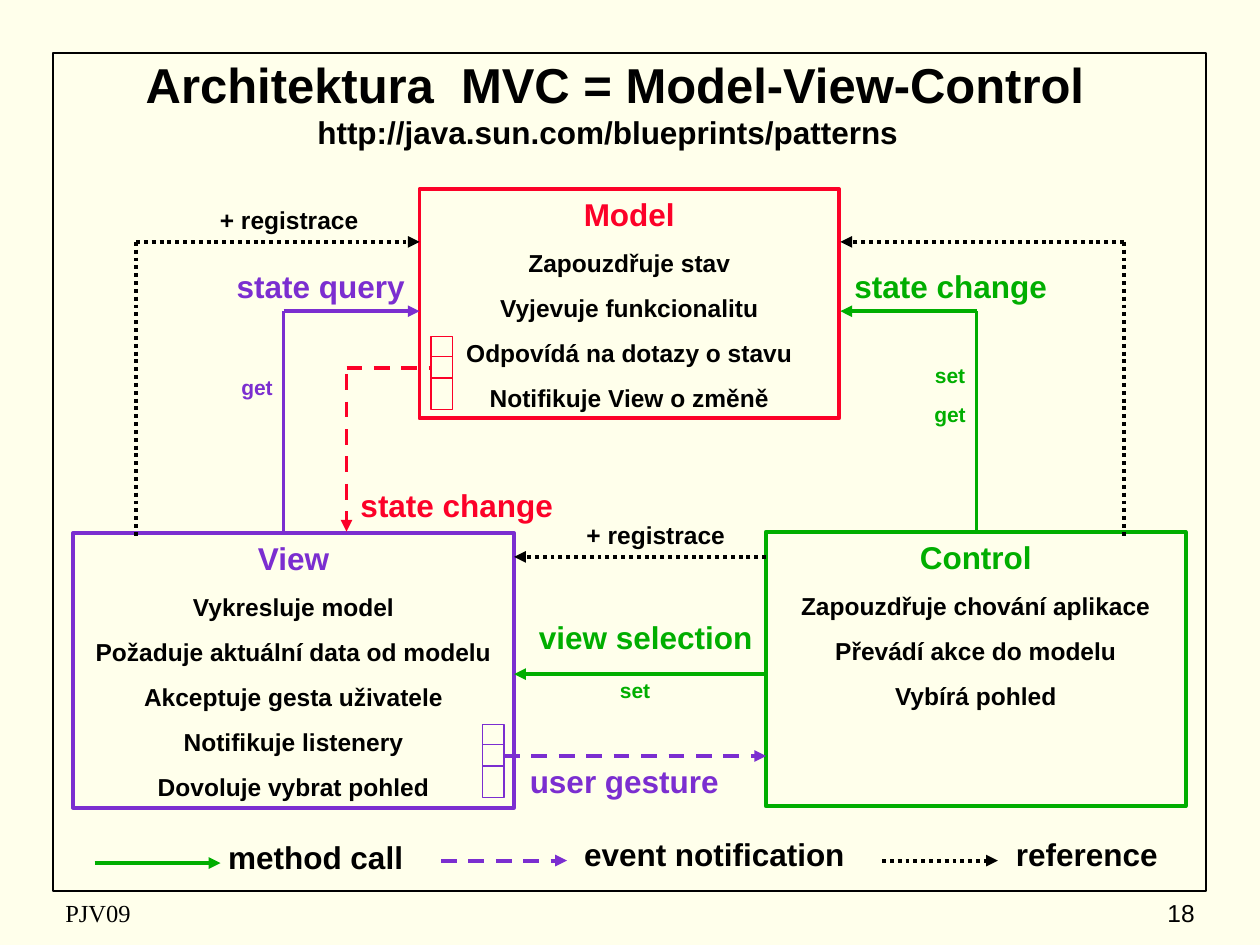
import pptx
import pptx.dml.color
import pptx.enum.dml
import pptx.enum.shapes
import pptx.enum.text
import pptx.oxml
import pptx.oxml.ns
import pptx.util

Inches = pptx.util.Inches
RGBColor = pptx.dml.color.RGBColor
Align = pptx.enum.text.PP_ALIGN
Anchor = pptx.enum.text.MSO_ANCHOR
Dash = pptx.enum.dml.MSO_LINE

CREAM = RGBColor(0xFF, 0xFF, 0xEB)
BLACK = RGBColor(0, 0, 0)
RED = RGBColor(0xFC, 0x01, 0x28)
PURPLE = RGBColor(0x7B, 0x2E, 0xD0)
GREEN = RGBColor(0, 0xAE, 0)

NOTIFICATION = Dash.DASH
REFERENCE = Dash.ROUND_DOT

COMPONENTS = [
    ("Model", RED, (3.33, 1.5, 3.33, 1.82),
     ["Zapouzdřuje stav", "Vyjevuje funkcionalitu",
      "Odpovídá na dotazy o stavu", "Notifikuje View o změně"]),
    ("View", PURPLE, (0.58, 4.23, 3.5, 2.18),
     ["Vykresluje model", "Požaduje aktuální data od modelu",
      "Akceptuje gesta uživatele", "Notifikuje listenery",
      "Dovoluje vybrat pohled"]),
    ("Control", GREEN, (6.08, 4.22, 3.33, 2.18),
     ["Zapouzdřuje chování aplikace", "Převádí akce do modelu",
      "Vybírá pohled"]),
]

LINES = [
    ((2.25, 2.47), (3.33, 2.47), PURPLE, None, True),
    ((7.75, 2.47), (6.67, 2.47), GREEN, None, True),
    ((2.25, 2.47), (2.25, 4.22), PURPLE, None, False),
    ((7.75, 2.47), (7.75, 4.22), GREEN, None, False),
    ((6.08, 5.35), (4.08, 5.35), GREEN, None, True),
    ((2.75, 2.97), (2.75, 4.22), RED, NOTIFICATION, True),
    ((2.75, 2.92), (3.42, 2.92), RED, NOTIFICATION, False),
    ((4, 6), (6.08, 6), PURPLE, NOTIFICATION, True),
    ((8.92, 1.92), (6.67, 1.92), BLACK, REFERENCE, True),
    ((8.92, 1.92), (8.92, 4.25), BLACK, REFERENCE, False),
    ((6.08, 4.42), (4.08, 4.42), BLACK, REFERENCE, True),
    ((1.08, 1.92), (3.33, 1.92), BLACK, REFERENCE, True),
    ((1.08, 1.92), (1.08, 4.25), BLACK, REFERENCE, False),
    ((0.75, 6.85), (1.75, 6.85), GREEN, None, True),
    ((3.5, 6.83), (4.5, 6.83), PURPLE, NOTIFICATION, True),
    ((7, 6.83), (7.92, 6.83), BLACK, REFERENCE, True),
]

LABELS = [
    (["Architektura  MVC = Model-View-Control"], (0.42, 0.38, 8.92, 0.57), 28, BLACK),
    (["http://java.sun.com/blueprints/patterns"], (2.21, 0.85, 5.23, 0.4), 18, BLACK),
    (["method call "], (1.5, 6.6, 2.08, 0.4), 18, BLACK),
    (["event notification"], (4.42, 6.58, 2.5, 0.4), 18, BLACK),
    (["reference"], (7.75, 6.58, 1.75, 0.4), 18, BLACK),
    (["user gesture"], (4.08, 6, 1.75, 0.4), 18, PURPLE),
    (["view selection"], (4, 4.86, 2.25, 0.4), 18, GREEN),
    (["state change"], (6.42, 2.07, 2.25, 0.4), 18, GREEN),
    (["state query"], (1.42, 2.07, 2.25, 0.4), 18, PURPLE),
    (["state change"], (2.5, 3.81, 2.25, 0.4), 18, RED),
    (["+ registrace"], (4.33, 4.08, 1.75, 0.33), 14, BLACK),
    (["+ registrace"], (1.42, 1.58, 1.75, 0.33), 14, BLACK),
    (["set", "get"], (7.25, 2.83, 0.58, 0.61), 12, GREEN),
    (["get"], (1.75, 2.92, 0.58, 0.3), 12, PURPLE),
    (["set"], (4.75, 5.33, 0.58, 0.3), 12, GREEN),
]

QUEUES = [(3.42, 2.67, RED), (3.83, 5.75, PURPLE)]


def write_paragraph(frame, index, text, size, color, **changes):
    para = frame.add_paragraph() if index else frame.paragraphs[0]
    para.alignment = changes.pop("alignment", Align.CENTER)
    if index:
        para.space_before = pptx.util.Pt(round(size * 0.625, 1))
    span = para.add_run()
    span.text = text
    values = {"name": "Arial", "size": pptx.util.Pt(size), "bold": True, **changes}
    for name, value in values.items():
        setattr(span.font, name, value)
    span.font.color.rgb = color


def add_label(page, texts, place, size, color, anchor=Anchor.TOP, **changes):
    box = page.shapes.add_textbox(*map(Inches, place))
    box.text_frame.word_wrap = True
    box.text_frame.vertical_anchor = anchor
    for index, text in enumerate(texts):
        write_paragraph(box.text_frame, index, text, size, color, **changes)


def add_frame(page, place, color, width):
    box = page.shapes.add_shape(
        pptx.enum.shapes.MSO_SHAPE.RECTANGLE, *map(Inches, place))
    box.shadow.inherit = False
    box.fill.background()
    box.line.color.rgb = color
    box.line.width = pptx.util.Pt(width)
    return box


def add_component(page, name, color, place, duties):
    frame = add_frame(page, place, color, 2.25).text_frame
    frame.word_wrap = True
    frame.vertical_anchor = Anchor.TOP
    write_paragraph(frame, 0, name, 18, color)
    for index, duty in enumerate(duties, 1):
        write_paragraph(frame, index, duty, 14, BLACK)


def add_line(page, start, end, color, dash=None, arrow=False, width=2.25):
    line = page.shapes.add_connector(
        pptx.enum.shapes.MSO_CONNECTOR.STRAIGHT, *map(Inches, start + end))
    line.line.color.rgb = color
    line.line.width = pptx.util.Pt(width)
    if dash is not None:
        line.line.dash_style = dash
    properties = line._element.spPr
    if arrow:
        tail = pptx.oxml.parse_xml(
            f'<a:tailEnd {pptx.oxml.ns.nsdecls("a")} type="triangle"/>')
        properties.find(pptx.oxml.ns.qn("a:ln")).append(tail)
    properties.append(pptx.oxml.parse_xml(
        f'<a:effectLst {pptx.oxml.ns.nsdecls("a")}/>'))


def add_queue(page, left, top, color):
    add_frame(page, (left, top, 0.17, 0.58), color, 0.75)
    for offset in (0.16, 0.33):
        level = top + offset
        add_line(page, (left, level), (left + 0.17, level), color, width=0.75)


def main():
    deck = pptx.Presentation()
    deck.slide_width, deck.slide_height = Inches(10), Inches(7.5)
    page = deck.slides.add_slide(deck.slide_layouts[6])
    page.background.fill.solid()
    page.background.fill.fore_color.rgb = CREAM

    add_frame(page, (0.42, 0.42, 9.15, 6.65), BLACK, 1)
    add_label(page, ["PJV09"], (0.42, 7.08, 3.17, 0.33), 14, BLACK, Anchor.MIDDLE,
              name="Times New Roman", bold=False, alignment=Align.LEFT)
    add_label(page, ["18"], (7.5, 7.08, 2.08, 0.33), 14, BLACK, Anchor.MIDDLE,
              bold=False, alignment=Align.RIGHT)
    for component in COMPONENTS:
        add_component(page, *component)
    for line in LINES:
        add_line(page, *line)
    for label in LABELS:
        add_label(page, *label)
    for queue in QUEUES:
        add_queue(page, *queue)
    deck.save("out.pptx")


if __name__ == "__main__":
    main()
